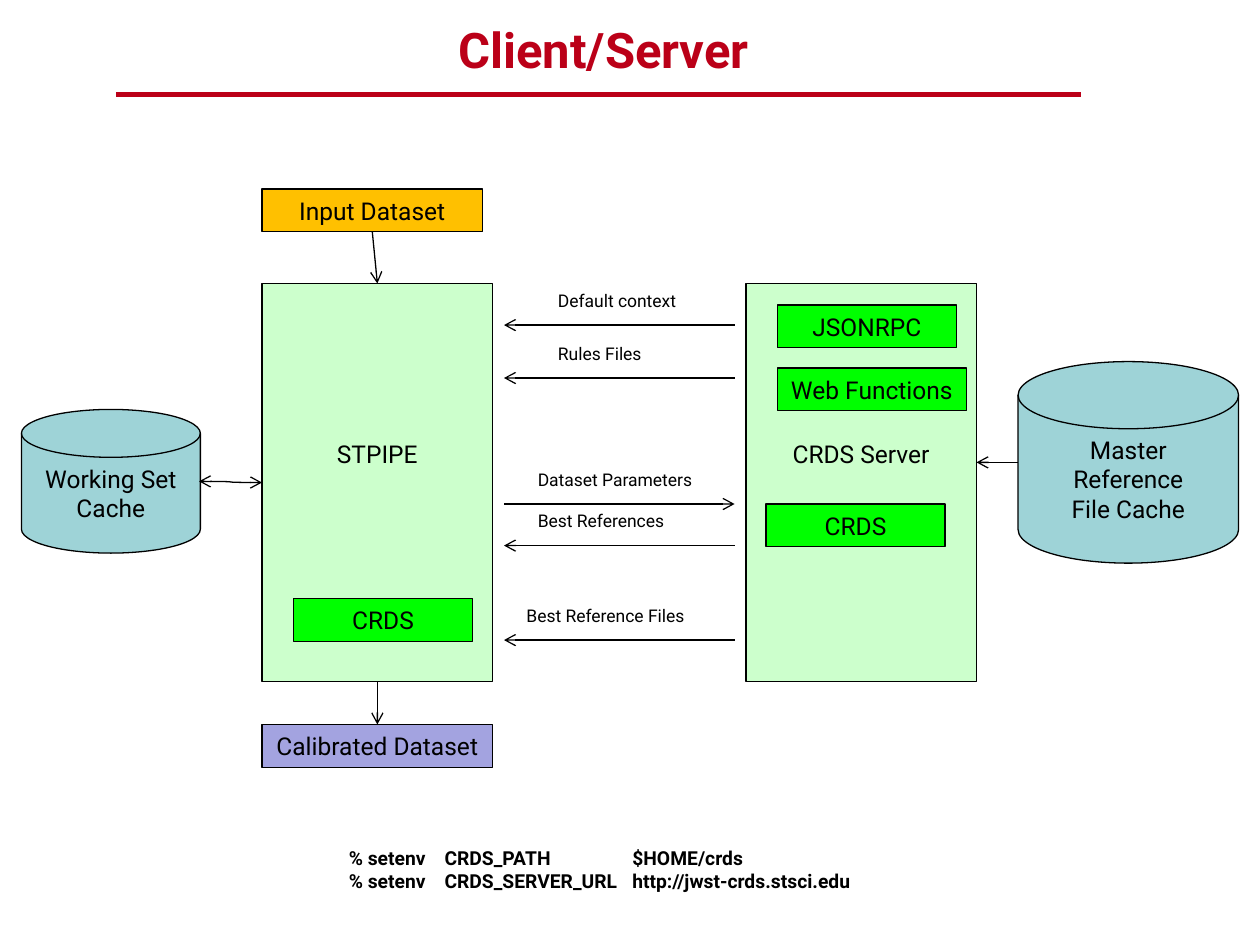
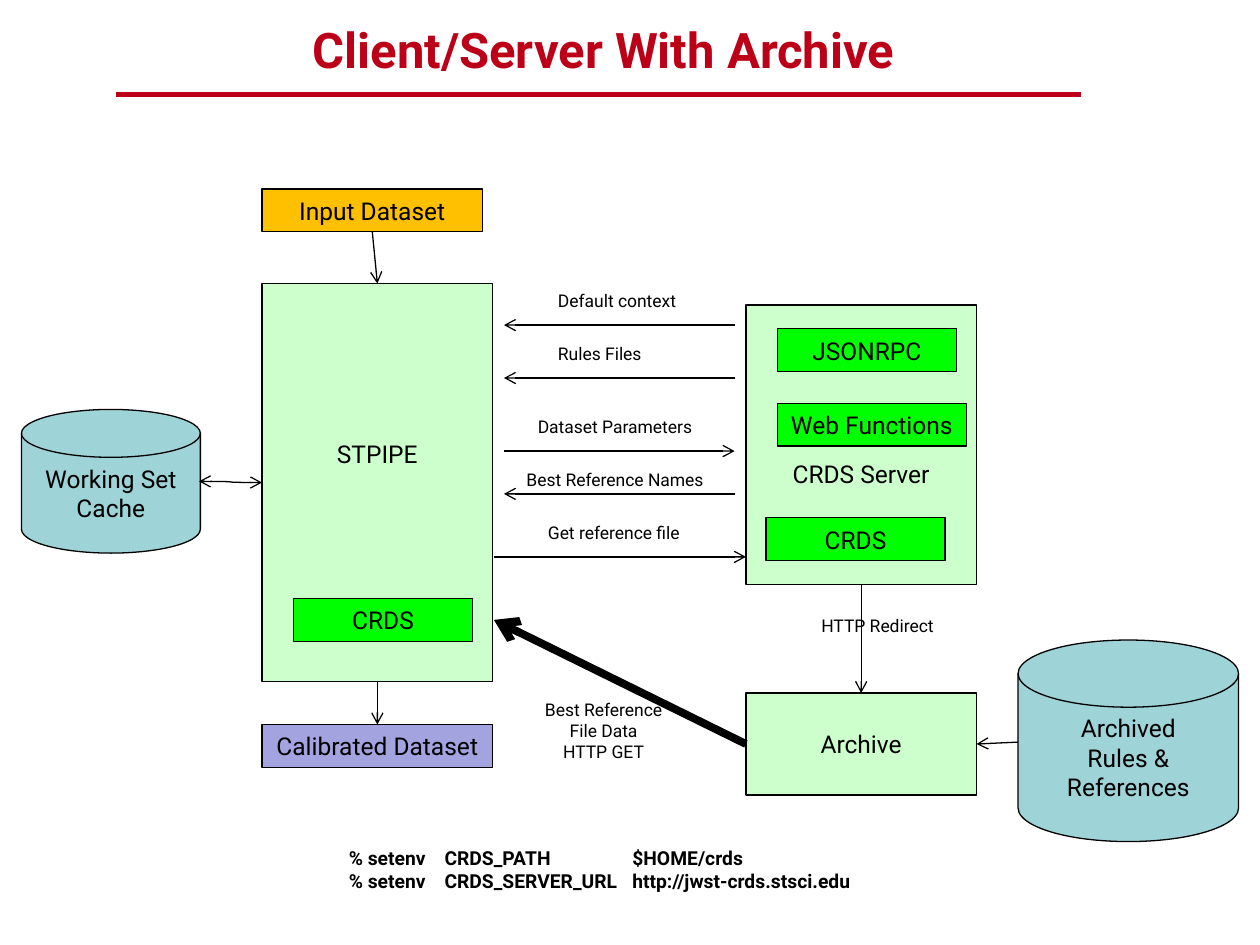
from dataclasses import dataclass

from lxml import etree
from pptx import Presentation
from pptx.dml.color import RGBColor
from pptx.enum.shapes import MSO_CONNECTOR, MSO_SHAPE
from pptx.enum.text import MSO_ANCHOR, PP_ALIGN
from pptx.oxml.ns import qn
from pptx.util import Inches, Pt

RECT, DISK = MSO_SHAPE.RECTANGLE, MSO_SHAPE.FLOWCHART_MAGNETIC_DISK
LINE, CURVE = MSO_CONNECTOR.STRAIGHT, MSO_CONNECTOR.CURVE
LEFT, CENTER = PP_ALIGN.LEFT, PP_ALIGN.CENTER
TOP, MIDDLE = MSO_ANCHOR.TOP, MSO_ANCHOR.MIDDLE

FONT = "Roboto"
COLORS = {
    "red": "BB0018", "ink": "000000", "amber": "FFC000", "mint": "CCFFCC",
    "lilac": "A3A3E0", "green": "00FF00", "teal": "9ED3D7",
}
BAR = 0.34  # height of a one-line box
ROW = 14 * 1.17 / 72  # height of a line of box text

# A spot is a point (x, y) or a box name with a side (0 top, 1 left, 2 bottom, 3 right).
Spot = tuple[float, float] | tuple[str, int]


@dataclass
class Box:
    name: str
    text: str
    left: float
    top: float
    width: float
    height: float
    fill: str
    form: int = RECT
    shift: int = 0  # lines by which the text sits below the middle


@dataclass
class Link:
    start: Spot
    end: Spot
    width: float = 0.75
    kind: int = LINE
    both: bool = False


@dataclass
class Note:
    text: str
    left: float
    top: float
    width: float = 1.92
    align: int = LEFT


@dataclass
class Flow:
    """A labelled arrow between the pipeline and the server."""
    text: str
    left: float
    y: float
    back: bool = True
    gap: float = 0.33
    span: tuple[float, float] = (4, 5.83)


def color(name: str) -> RGBColor:
    return RGBColor.from_string(COLORS[name])


def write(frame, text: str, size: float, align: int = LEFT, anchor: int = TOP,
          ink: str = "ink", bold: bool = False, tabs: tuple = ()) -> None:
    frame.word_wrap = True
    frame.vertical_anchor = anchor
    frame.text = text
    for para in frame.paragraphs:
        para.alignment = align
        if tabs:
            stops = etree.SubElement(para._p.get_or_add_pPr(), qn("a:tabLst"))
            for stop in tabs:
                etree.SubElement(stops, qn("a:tab"), pos=str(Inches(stop)), algn="l")
        font = para.font
        font.name, font.size, font.bold = FONT, Pt(size), bold
        font.color.rgb = color(ink)


def add_text(slide, left: float, top: float, width: float, height: float,
             text: str, size: float, **style) -> None:
    area = slide.shapes.add_textbox(Inches(left), Inches(top), Inches(width), Inches(height))
    write(area.text_frame, text, size, **style)


def add_box(slide, box: Box):
    shape = slide.shapes.add_shape(box.form, Inches(box.left), Inches(box.top),
                                   Inches(box.width), Inches(box.height))
    shape.shadow.inherit = False
    shape.fill.solid()
    shape.fill.fore_color.rgb = color(box.fill)
    shape.line.color.rgb = color("ink")
    shape.line.width = Pt(0.75)
    frame = shape.text_frame
    frame.margin_left = frame.margin_right = Inches(0.05)
    frame.margin_top = Inches(0.05 + 2 * ROW * max(box.shift, 0))
    frame.margin_bottom = Inches(0.05 + 2 * ROW * max(-box.shift, 0))
    write(frame, box.text, 14, CENTER, MIDDLE)
    return shape


def add_line(slide, start: Spot, end: Spot, ink: str, width: float, kind: int = LINE):
    line = slide.shapes.add_connector(kind, *(Inches(n) for n in (*start, *end)))
    line.line.color.rgb = color(ink)
    line.line.width = Pt(width)
    etree.SubElement(line._element.spPr, qn("a:effectLst"))
    return line


def add_link(slide, link: Link, shapes: dict) -> None:
    def place(spot: Spot) -> Spot:
        return (0, 0) if isinstance(spot[0], str) else spot

    line = add_line(slide, place(link.start), place(link.end), "ink", link.width, link.kind)
    for spot, join in ((link.start, line.begin_connect), (link.end, line.end_connect)):
        if isinstance(spot[0], str):
            join(shapes[spot[0]], spot[1])
    for tag in ("a:headEnd", "a:tailEnd") if link.both else ("a:tailEnd",):
        etree.SubElement(line.line._get_or_add_ln(), qn(tag), type="arrow")


def add_flow(slide, flow: Flow) -> None:
    ends = [(x, flow.y) for x in flow.span]
    start, end = reversed(ends) if flow.back else ends
    add_link(slide, Link(start, end), {})
    add_note(slide, Note(flow.text, flow.left, flow.y - flow.gap))


def add_note(slide, note: Note) -> None:
    add_text(slide, note.left, note.top, note.width, 0.27, note.text, 10, align=note.align)


def add_page(deck, title: str, boxes: list[Box], links: list[Link],
             flows: list[Flow], notes: list[Note]) -> None:
    slide = deck.slides.add_slide(deck.slide_layouts[6])
    add_line(slide, (0.92, 0.75), (8.58, 0.75), "red", 3)
    add_text(slide, 1, 0.17, 7.58, 0.44, title, 28, align=CENTER, anchor=MIDDLE,
             ink="red", bold=True)
    shapes = {box.name: add_box(slide, box) for box in CLIENT + boxes}
    for link in CLIENT_LINKS + links:
        add_link(slide, link, shapes)
    for flow in CONTEXT + flows:
        add_flow(slide, flow)
    for note in notes:
        add_note(slide, note)
    add_text(slide, 2.67, 6.67, 4.54, 0.47, SETUP, 11, bold=True, tabs=(0.76, 2.25))


def server(top: float, height: float, shift: int, tops: tuple) -> list[Box]:
    """The server box with its three parts at the given tops."""
    rpc, web, crds = tops
    return [
        Box("server", "CRDS Server", 5.92, top, 1.83, height, "mint", shift=shift),
        Box("lookup", "CRDS", 6.08, crds, 1.42, BAR, "green"),
        Box("rpc", "JSONRPC", 6.17, rpc, 1.42, BAR, "green"),
        Box("web", "Web Functions", 6.17, web, 1.5, BAR, "green"),
    ]


def store(text: str, top: float) -> Box:
    return Box("store", text, 8.08, top, 1.75, 1.6, "teal", DISK)


SETUP = ("% setenv\tCRDS_PATH\t$HOME/crds\n"
         "% setenv\tCRDS_SERVER_URL\thttp://jwst-crds.stsci.edu")
CLIENT = [
    Box("input", "Input Dataset", 2.08, 1.5, 1.75, BAR, "amber"),
    Box("pipe", "STPIPE", 2.08, 2.25, 1.83, 3.16, "mint", shift=-1),
    Box("output", "Calibrated Dataset", 2.08, 5.75, 1.83, BAR, "lilac"),
    Box("client", "CRDS", 2.33, 4.75, 1.42, BAR, "green"),
    Box("cache", "Working Set\nCache", 0.17, 3.25, 1.42, 1.14, "teal", DISK),
]
CLIENT_LINKS = [
    Link((1.58, 3.82), ("pipe", 1), kind=CURVE, both=True),
    Link(("input", 2), ("pipe", 0)),
    Link(("pipe", 2), ("output", 0)),
]
CONTEXT = [Flow("Default context", 4.33, 2.58), Flow("Rules Files", 4.33, 3)]


def main() -> None:
    deck = Presentation()
    deck.slide_width, deck.slide_height = Inches(10), Inches(7.5)
    add_page(
        deck, "Client/Server",
        server(2.25, 3.16, -1, (2.42, 2.92, 4)) + [store("Master\nReference\nFile Cache", 2.87)],
        [Link((8.08, 3.67), (7.75, 3.67))],
        [
            Flow("Dataset Parameters", 4.17, 4, back=False),
            Flow("Best References", 4.17, 4.33),
            Flow("Best Reference Files", 4.08, 5.08),
        ],
        [],
    )
    add_page(
        deck, "Client/Server With Archive",
        server(2.42, 2.22, 1, (2.61, 3.2, 4.11)) + [
            store("Archived\nRules &\nReferences", 5.08),
            Box("archive", "Archive", 5.92, 5.5, 1.83, 0.81, "mint"),
        ],
        [
            Link(("archive", 1), (3.92, 4.92), width=4.5),
            Link((8.08, 5.89), ("archive", 3)),
            Link(("server", 2), ("archive", 0)),
        ],
        [
            Flow("Dataset Parameters", 4.17, 3.58, back=False),
            Flow("Best Reference Names", 4.08, 3.92, gap=0.25),
            Flow("Get reference file", 4.25, 4.42, back=False, span=(3.92, 5.92)),
        ],
        [
            Note("Best Reference\vFile Data\nHTTP GET", 4, 5.5, 1.58, CENTER),
            Note("HTTP Redirect", 6.42, 4.83),
        ],
    )
    deck.save("out.pptx")


if __name__ == "__main__":
    main()
